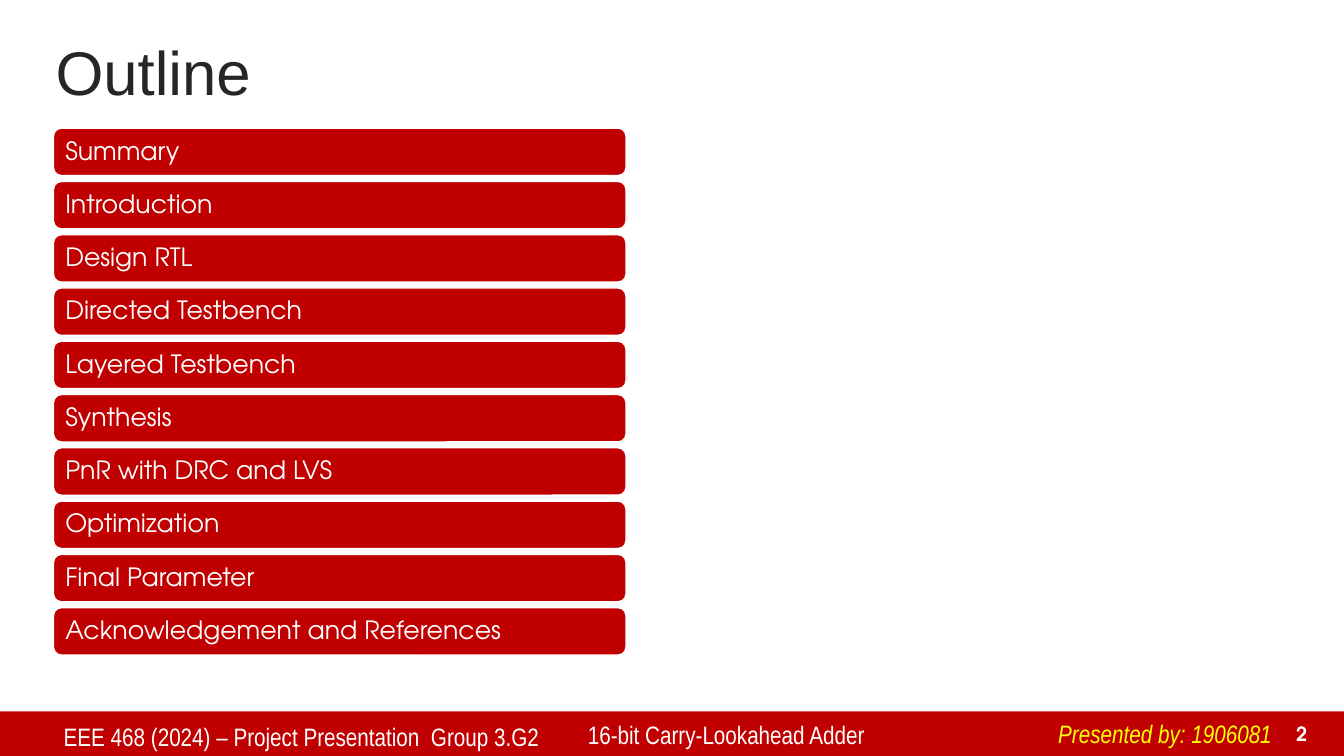
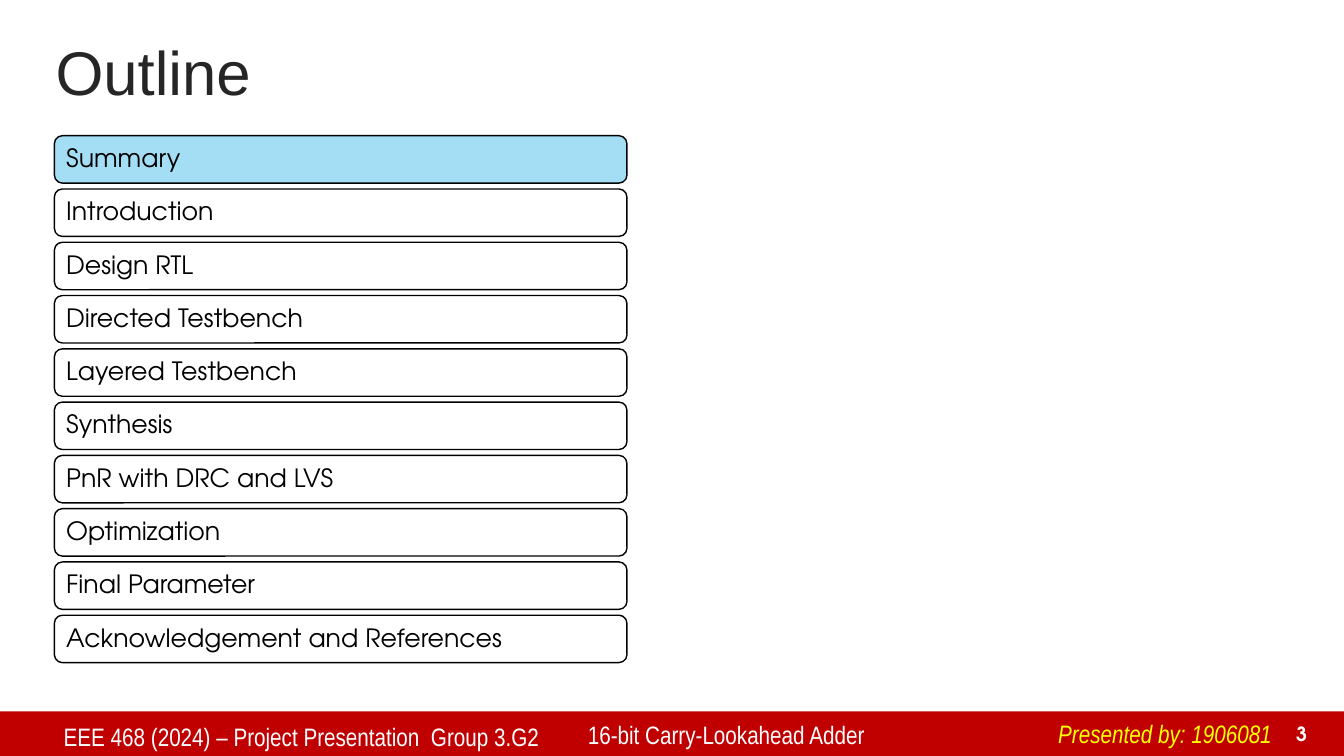
import pptx
import pptx.util
import pptx.dml.color
import pptx.enum.shapes
import pptx.enum.text

Pt = pptx.util.Pt
RGBColor = pptx.dml.color.RGBColor
SHAPE = pptx.enum.shapes.MSO_SHAPE
ANCHOR = pptx.enum.text.MSO_ANCHOR
ALIGN = pptx.enum.text.PP_ALIGN

RED = RGBColor(0xC0, 0x00, 0x00)
WHITE = RGBColor(0xFF, 0xFF, 0xFF)
BLACK = RGBColor(0x00, 0x00, 0x00)
YELLOW = RGBColor(0xFF, 0xFF, 0x00)
CHARCOAL = RGBColor(0x26, 0x26, 0x26)
SKY = RGBColor(0xA4, 0xDE, 0xF4)

TITLE_FONT = "Arial"
FOOTER_FONT = "Arial Narrow"
BODY_FONT = "TeX Gyre Adventor"

SLIDE_W = pptx.util.Inches(13.33)
SLIDE_H = pptx.util.Inches(7.5)

TOPICS = [
    "Summary",
    "Introduction",
    "Design RTL",
    "Directed Testbench",
    "Layered Testbench",
    "Synthesis",
    "PnR with DRC and LVS",
    "Optimization",
    "Final Parameter",
    "Acknowledgement and References",
]
BAR_SHARE = 0.89


def area(x, y, w, h):
    """Turn percentages of the slide's size into a box."""
    return tuple(
        int(share * size / 100)
        for share, size in zip((x, y, w, h), (SLIDE_W, SLIDE_H, SLIDE_W, SLIDE_H))
    )


def write(sp, text, font, size, color, anchor=ANCHOR.TOP, align=ALIGN.LEFT,
          spacing=None, wrap=True, bold=False, italic=False):
    """Set and format the single line of text in a shape."""
    tf = sp.text_frame
    tf.text = text
    tf.word_wrap = wrap
    tf.vertical_anchor = anchor
    p = tf.paragraphs[0]
    p.alignment = align
    p.line_spacing = spacing
    f = p.runs[0].font
    f.name, f.size, f.bold, f.italic = font, Pt(size), bold, italic
    f.color.rgb = color


def add_box(s, kind, box, fill, line=None):
    """Add a flat filled shape with an optional one-point outline."""
    sp = s.shapes.add_shape(kind, *box)
    sp.shadow.inherit = False
    sp.fill.solid()
    sp.fill.fore_color.rgb = fill
    if line is None:
        sp.line.fill.background()
    else:
        sp.line.color.rgb = line
        sp.line.width = Pt(1)
    return sp


def add_label(s, box, text, font, size, color, **style):
    """Add a text box holding one line."""
    write(s.shapes.add_textbox(*box), text, font, size, color, **style)


def add_title(s, box, text):
    """Add the slide title."""
    add_label(s, box, text, TITLE_FONT, 44, CHARCOAL,
              anchor=ANCHOR.MIDDLE, spacing=0.9)


def add_footer(s, box, number):
    """Add the red band with its labels and the slide number."""
    add_box(s, SHAPE.RECTANGLE, box, RED)
    left, top, width, height = box

    def part(x, y, w, h):
        return (left + int(x * width), top + int(y * height),
                int(w * width), int(h * height))

    add_label(s, part(0.94, 0.11, 0.04, 0.77), str(number), BODY_FONT, 14, WHITE,
              anchor=ANCHOR.BOTTOM, align=ALIGN.RIGHT, bold=True)
    add_label(s, part(0.04, 0.11, 0.4, 0.93),
              "EEE 468 (2024) – Project Presentation  Group 3.G2",
              FOOTER_FONT, 18, WHITE)
    add_label(s, part(0.43, 0.07, 0.32, 0.93), "16-bit Carry-Lookahead Adder",
              FOOTER_FONT, 18, WHITE)
    add_label(s, part(0.78, 0.05, 0.18, 0.91), "Presented by: 1906081",
              FOOTER_FONT, 18, YELLOW, wrap=False, italic=True)


def add_topics(s, box, fill, line, color, current=None):
    """Stack the topics as equal bars, filling the current one in blue."""
    left, top, width, height = box
    pitch = height / (len(TOPICS) - 1 + BAR_SHARE)
    for i, topic in enumerate(TOPICS):
        bar = (left, int(top + i * pitch), width, int(pitch * BAR_SHARE))
        sp = add_box(s, SHAPE.ROUNDED_RECTANGLE, bar,
                     SKY if topic == current else fill, line)
        tf = sp.text_frame
        tf.margin_left = tf.margin_right = Pt(6.8)
        tf.margin_top = tf.margin_bottom = Pt(5)
        write(sp, topic, BODY_FONT, 18, color, anchor=ANCHOR.MIDDLE, spacing=0.9)


def add_outline(prs, number, box, *colors, current=None):
    """Add one outline slide."""
    s = prs.slides.add_slide(prs.slide_layouts[6])
    add_footer(s, area(0, 94.1, 100, 5.9), number)
    add_title(s, area(3.4, 4.7, 82.5, 10.7), "Outline")
    add_topics(s, box, *colors, current=current)


def main():
    """Build and save the presentation."""
    prs = pptx.Presentation()
    prs.slide_width, prs.slide_height = SLIDE_W, SLIDE_H
    add_outline(prs, 2, area(3.98, 16.95, 42.6, 69.7), RED, WHITE, WHITE)
    add_outline(prs, 3, area(4.05, 17.95, 42.6, 69.7), WHITE, BLACK, BLACK,
                current="Summary")
    prs.save("out.pptx")


if __name__ == "__main__":
    main()
